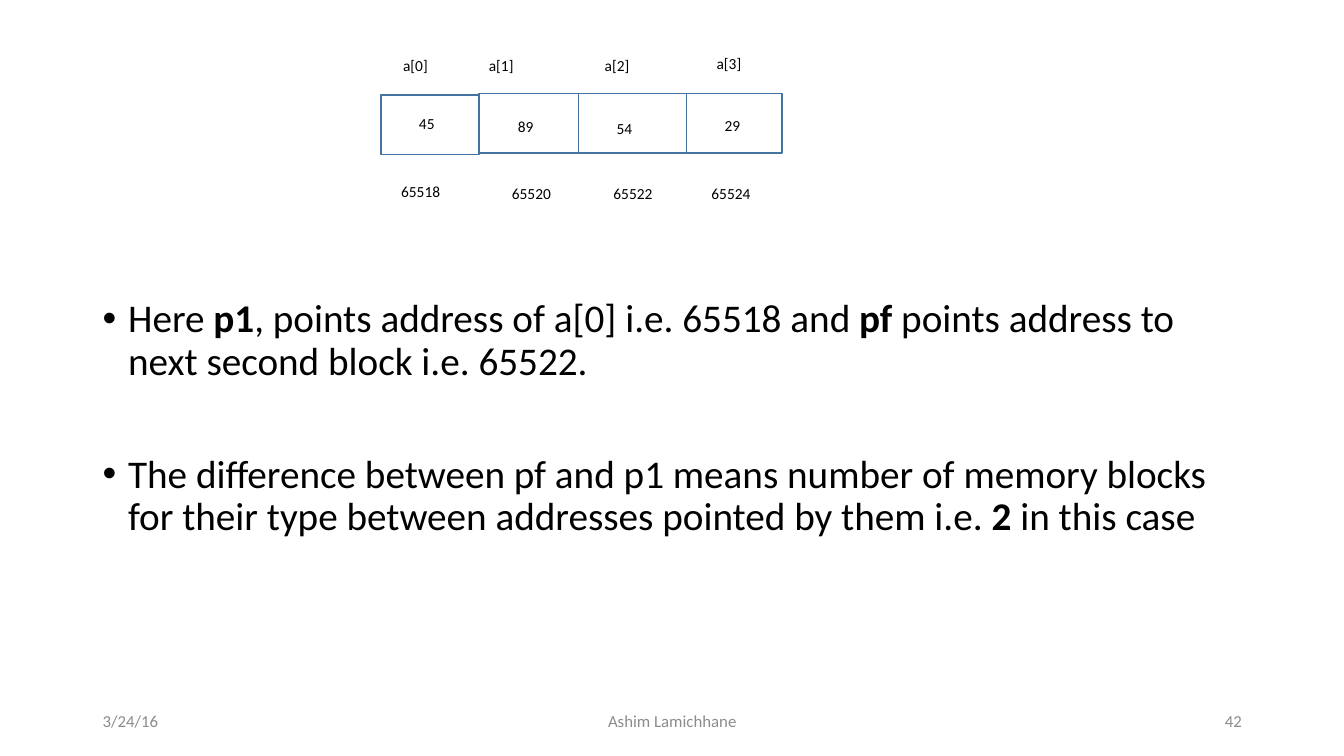
from lxml import etree
from pptx import Presentation
from pptx.dml.color import RGBColor
from pptx.enum import shapes, text
from pptx.oxml import ns
from pptx.util import Cm, Pt

COLORS = {"ink": "000000", "border": "43739E", "footer": "8C8C8C"}
FONT = "Calibri"

CELL_EDGES = [9.6, 12.07, 14.58, 17.3, 19.71]
CELL_TOPS = [2.39, 2.36, 2.36, 2.36]
INDEXES = [("a[0]", 9.91, 1.3, 1.14), ("a[1]", 12.07, 1.3, 2.24),
           ("a[2]", 14.99, 1.3, 2.24), ("a[3]", 17.81, 1.24, 1.55)]
ADDRESSES = [("65518", 9.86, 4.47, 2.24), ("65520", 12.65, 4.52, 2.24),
             ("65522", 15.21, 4.52, 2.24), ("65524", 17.68, 4.52, 2.24)]
VALUES = [("45", 10.31, 2.74, 0.91), ("89", 12.8, 2.82, 0.91),
          ("54", 15.29, 2.87, 0.91), ("29", 18.01, 2.79, 0.91)]
FOOTERS = [("3/24/16", 2.34, 7.62, text.PP_ALIGN.LEFT),
           ("Ashim Lamichhane", 11.23, 11.43, text.PP_ALIGN.CENTER),
           ("42", 23.93, 7.62, text.PP_ALIGN.RIGHT)]
POINTS = [
    [("Here ", False), ("p1", True),
     (", points address of a[0] i.e. 65518 and ", False), ("pf", True),
     (" points address to next second block i.e. 65522.", False)],
    [("The difference between pf and p1 means number of memory blocks "
      "for their type between addresses pointed by them i.e. ", False),
     ("2", True), (" in this case", False)],
]


def apply_format(target, values):
    for name, value in values.items():
        setattr(target, name, value)


def add_run(paragraph, wording, size, color="ink", bold=False):
    run = paragraph.add_run()
    run.text = wording
    apply_format(run.font, {"name": FONT, "size": Pt(size), "bold": bold})
    run.font.color.rgb = RGBColor.from_string(COLORS[color])


def add_frame(slide, left, top, width, height, **values):
    frame = slide.shapes.add_textbox(Cm(left), Cm(top), Cm(width), Cm(height)).text_frame
    apply_format(frame, {"word_wrap": True, **values})
    return frame


def add_label(slide, wording, left, top, width):
    frame = add_frame(slide, left, top, width, 0.74,
                      word_wrap=width > 1.2,
                      auto_size=text.MSO_AUTO_SIZE.SHAPE_TO_FIT_TEXT)
    add_run(frame.paragraphs[0], wording, 11)


def add_cell(slide, left, right, top):
    cell = slide.shapes.add_shape(shapes.MSO_SHAPE.RECTANGLE, Cm(left), Cm(top),
                                  Cm(right - left), Cm(1.5))
    cell.shadow.inherit = False
    cell.fill.background()
    cell.line.color.rgb = RGBColor.from_string(COLORS["border"])
    cell.line.width = Pt(1)


def add_footer(slide, wording, left, width, alignment):
    frame = add_frame(slide, left, 17.65, width, 1.02,
                      vertical_anchor=text.MSO_ANCHOR.MIDDLE)
    frame.paragraphs[0].alignment = alignment
    add_run(frame.paragraphs[0], wording, 12, "footer")


def add_bullet(paragraph):
    properties = paragraph._p.get_or_add_pPr()
    properties.set("marL", str(Cm(0.64)))
    properties.set("indent", str(-Cm(0.64)))
    etree.SubElement(properties, ns.qn("a:buFont"), typeface="Arial")
    etree.SubElement(properties, ns.qn("a:buChar"), char="•")


def add_points(slide, points):
    frame = add_frame(slide, 2.34, 5.97, 29.21, 11.2, margin_top=Cm(1.56))
    for number, parts in enumerate(points):
        paragraph = frame.add_paragraph() if number else frame.paragraphs[0]
        apply_format(paragraph, {"line_spacing": 0.9,
                                 "space_before": Pt(50.8 if number else 0)})
        add_bullet(paragraph)
        for wording, bold in parts:
            add_run(paragraph, wording, 28, bold=bold)


def main():
    deck = Presentation()
    apply_format(deck, {"slide_width": Cm(33.87), "slide_height": Cm(19.05)})
    slide = deck.slides.add_slide(deck.slide_layouts[6])
    add_points(slide, POINTS)
    for footer in FOOTERS:
        add_footer(slide, *footer)
    for left, right, top in zip(CELL_EDGES, CELL_EDGES[1:], CELL_TOPS):
        add_cell(slide, left, right, top)
    for label in INDEXES + ADDRESSES + VALUES:
        add_label(slide, *label)
    deck.save("out.pptx")


if __name__ == "__main__":
    main()
